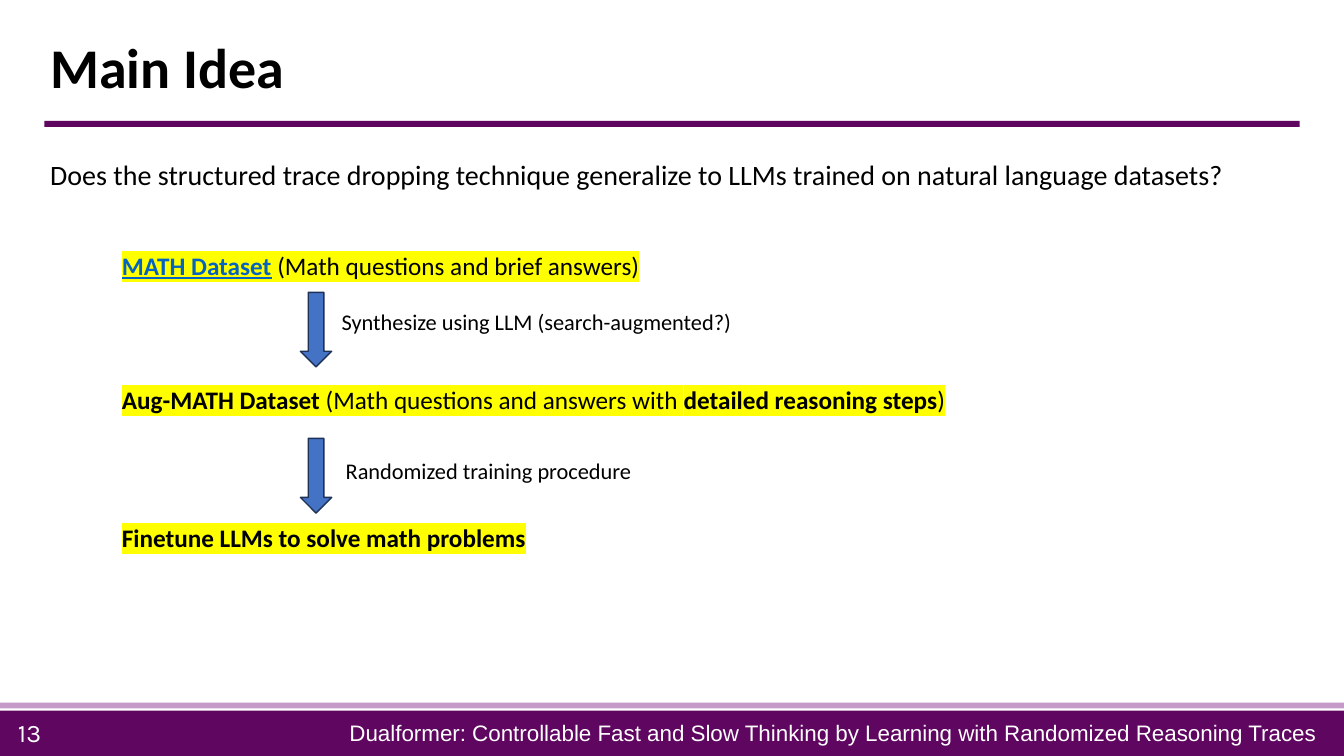
from dataclasses import dataclass

from lxml import etree
from pptx import Presentation
from pptx.dml.color import RGBColor
from pptx.enum.shapes import MSO_SHAPE
from pptx.enum.text import MSO_ANCHOR, PP_ALIGN
from pptx.oxml.ns import qn
from pptx.slide import Slide
from pptx.text.text import TextFrame
from pptx.util import Inches, Pt

RECTANGLE = MSO_SHAPE.RECTANGLE
DOWN_ARROW = MSO_SHAPE.DOWN_ARROW
MIDDLE = MSO_ANCHOR.MIDDLE
LEFT, RIGHT = PP_ALIGN.LEFT, PP_ALIGN.RIGHT

SLIDE_WIDTH, SLIDE_HEIGHT = Inches(13.333), Inches(7.5)
TITLE_ONLY_LAYOUT = 5

PURPLE, LILAC = "5F0660", "C69AC8"
BLUE, NAVY, LINK_BLUE = "4472C4", "1E3256", "0563C1"
BLACK, WHITE, YELLOW = "000000", "FFFFFF", "FFFF00"


@dataclass(frozen=True)
class Box:
    """Place on the slide, in percent of its width and height."""
    left: float
    top: float
    width: float
    height: float

    def emu(self) -> tuple[int, int, int, int]:
        return (round(SLIDE_WIDTH * self.left / 100),
                round(SLIDE_HEIGHT * self.top / 100),
                round(SLIDE_WIDTH * self.width / 100),
                round(SLIDE_HEIGHT * self.height / 100))


@dataclass(frozen=True)
class Span:
    text: str
    size: int
    bold: bool = False
    color: str = BLACK
    font: str = "Calibri"
    underline: bool = False
    highlight: str = ""


@dataclass(frozen=True)
class Label:
    box: Box
    spans: tuple[Span, ...]
    align: PP_ALIGN = LEFT


@dataclass(frozen=True)
class Block:
    box: Box
    fill: str
    outline: str = ""
    preset: MSO_SHAPE = RECTANGLE


def rgb(color: str) -> RGBColor:
    return RGBColor.from_string(color)


def write_spans(frame: TextFrame, spans: tuple[Span, ...], align: PP_ALIGN = LEFT) -> None:
    frame.word_wrap = True
    frame.vertical_anchor = MIDDLE
    paragraph = frame.paragraphs[0]
    paragraph.alignment = align
    for span in spans:
        run = paragraph.add_run()
        run.text = span.text
        font = run.font
        font.name, font.size = span.font, Pt(span.size)
        font.bold, font.underline = span.bold, span.underline
        font.color.rgb = rgb(span.color)
        if span.highlight:
            highlight = etree.Element(qn("a:highlight"))
            etree.SubElement(highlight, qn("a:srgbClr"), val=span.highlight)
            run.font._element.find(qn("a:solidFill")).addnext(highlight)


def draw_label(slide: Slide, label: Label) -> None:
    textbox = slide.shapes.add_textbox(*label.box.emu())
    write_spans(textbox.text_frame, label.spans, label.align)


def draw_block(slide: Slide, block: Block) -> None:
    shape = slide.shapes.add_shape(block.preset, *block.box.emu())
    shape.shadow.inherit = False
    shape.fill.solid()
    shape.fill.fore_color.rgb = rgb(block.fill)
    if block.outline:
        shape.line.color.rgb = rgb(block.outline)
        shape.line.width = Pt(1)
    else:
        shape.line.fill.background()


def draw_title(slide: Slide, text: str) -> None:
    title = slide.shapes.title
    title.left, title.top, title.width, title.height = Box(3, 2.67, 86.25, 13.33).emu()
    write_spans(title.text_frame, (Span(text, 40, bold=True),))
    title.text_frame.paragraphs[0].line_spacing = 0.9


def stage(top: float, *spans: Span) -> Label:
    return Label(Box(8.33, top, 68, 5.33), spans)


def stage_span(text: str, bold: bool = True, color: str = BLACK,
               underline: bool = False) -> Span:
    return Span(text, 18, bold, color, underline=underline, highlight=YELLOW)


def step_arrow(top: float) -> Block:
    return Block(Box(22.35, top, 2.33, 9.87), BLUE, NAVY, DOWN_ARROW)


def step_note(left: float, top: float, text: str) -> Label:
    return Label(Box(left, top, 50.1, 4.93), (Span(text, 16),))


BLOCKS = (
    Block(Box(0, 94, 100, 6), PURPLE),
    Block(Box(0, 92.93, 100, 0.8), LILAC),
    Block(Box(3.3, 16, 93.4, 0.8), PURPLE),
    step_arrow(38.67),
    step_arrow(58),
)

LABELS = (
    Label(Box(0.6, 94.27, 10, 5.33), (Span("13", 18, color=WHITE, font="Karla"),)),
    Label(Box(20, 94.27, 78.7, 5.33),
          (Span("Dualformer: Controllable Fast and Slow Thinking by Learning with "
                "Randomized Reasoning Traces", 16, color=WHITE, font="Arial"),), RIGHT),
    Label(Box(3, 20.13, 92.2, 5.87),
          (Span("Does the structured trace dropping technique generalize to LLMs "
                "trained on natural language datasets?", 20),)),
    stage(32.4,
          stage_span("MATH Dataset", color=LINK_BLUE, underline=True),
          stage_span(" "),
          stage_span("(Math questions and brief answers)", bold=False)),
    step_note(24.68, 40.13, "Synthesize using LLM (search-augmented?)"),
    stage(50.13,
          stage_span("Aug-MATH Dataset "),
          stage_span("(Math questions and answers with ", bold=False),
          stage_span("detailed reasoning steps"),
          stage_span(")", bold=False)),
    step_note(24.98, 59.73, "Randomized training procedure"),
    stage(68.4, stage_span("Finetune LLMs to solve math problems")),
)


def main() -> None:
    presentation = Presentation()
    presentation.slide_width, presentation.slide_height = SLIDE_WIDTH, SLIDE_HEIGHT
    slide = presentation.slides.add_slide(presentation.slide_layouts[TITLE_ONLY_LAYOUT])
    draw_title(slide, "Main Idea")
    for block in BLOCKS:
        draw_block(slide, block)
    for label in LABELS:
        draw_label(slide, label)
    presentation.save("out.pptx")


if __name__ == "__main__":
    main()
